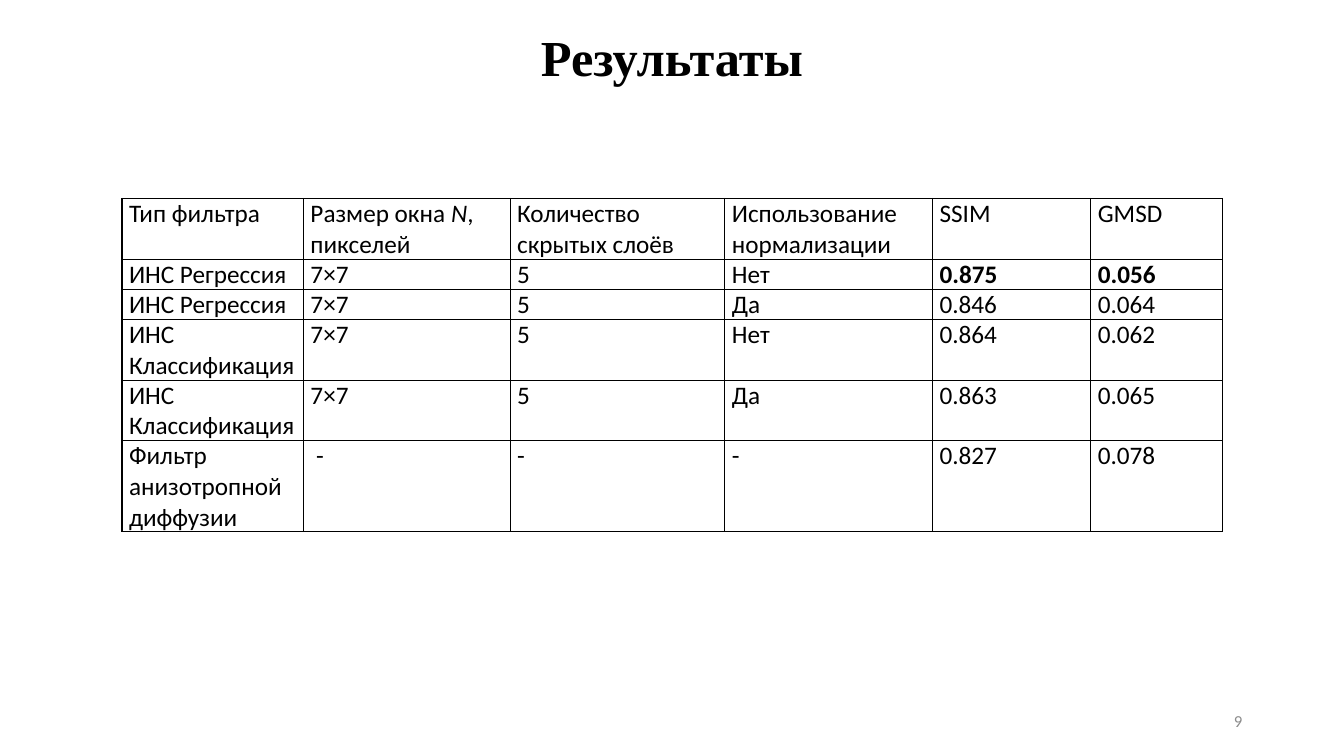
from lxml.etree import SubElement
from pptx import Presentation
from pptx.dml.color import RGBColor
from pptx.enum.text import MSO_ANCHOR, PP_ALIGN
from pptx.oxml.ns import qn
from pptx.util import Inches, Pt

BLACK = RGBColor(0x00, 0x00, 0x00)
GRAY = RGBColor(0x8C, 0x8C, 0x8C)
BODY_FONT = "Calibri"
TITLE_FONT = "Times New Roman"

COLUMN_WIDTHS = [1.8, 2.05, 2.13, 2.06, 1.57, 1.31]
ROW_LINES = [2, 1, 1, 2, 2, 3]
LINE_HEIGHT = 0.3
BEST_ROW = 1
METRIC_COLUMNS = (4, 5)
VARIABLE = "N"
RESULTS = [
    ["Тип фильтра", ("Размер окна ", VARIABLE, ", пикселей"), "Количество скрытых слоёв",
     "Использование нормализации", "SSIM", "GMSD"],
    ["ИНС Регрессия", "7×7", "5", "Нет", "0.875", "0.056"],
    ["ИНС Регрессия", "7×7", "5", "Да", "0.846", "0.064"],
    ["ИНС Классификация", "7×7", "5", "Нет", "0.864", "0.062"],
    ["ИНС Классификация", "7×7", "5", "Да", "0.863", "0.065"],
    ["Фильтр анизотропной диффузии", " -", "-", "-", "0.827", "0.078"],
]


def add_run(paragraph, text, size, font=BODY_FONT, color=BLACK, bold=False, italic=False):
    run = paragraph.add_run()
    run.text = text
    run.font.size = Pt(size)
    run.font.name = font
    run.font.color.rgb = color
    run.font.bold = bold
    run.font.italic = italic


def add_label(slide, bounds, text, align, size, **run_style):
    label = slide.shapes.add_textbox(*map(Inches, bounds))
    frame = label.text_frame
    frame.word_wrap = True
    frame.vertical_anchor = MSO_ANCHOR.MIDDLE
    paragraph = frame.paragraphs[0]
    paragraph.alignment = align
    add_run(paragraph, text, size, **run_style)
    return paragraph


def add_borders(cell):
    properties = cell._tc.get_or_add_tcPr()
    for side in ("lnL", "lnR", "lnT", "lnB"):
        line = SubElement(properties, qn(f"a:{side}"), w=str(Pt(1)))
        fill = SubElement(line, qn("a:solidFill"))
        SubElement(fill, qn("a:srgbClr"), val=str(BLACK))


def fill_cell(cell, content, bold):
    cell.margin_left = cell.margin_right = Inches(0.07)
    cell.margin_top = cell.margin_bottom = Inches(0)
    add_borders(cell)
    cell.fill.background()
    parts = (content,) if isinstance(content, str) else content
    for part in parts:
        add_run(cell.text_frame.paragraphs[0], part, 18, bold=bold, italic=part == VARIABLE)


def add_results_table(slide):
    table = slide.shapes.add_table(
        len(RESULTS), len(COLUMN_WIDTHS), Inches(1.21), Inches(1.97),
        Inches(sum(COLUMN_WIDTHS)), Inches(LINE_HEIGHT * sum(ROW_LINES))).table
    table.first_row = False
    table.horz_banding = False
    for column, width in zip(table.columns, COLUMN_WIDTHS):
        column.width = Inches(width)
    for row, lines in zip(table.rows, ROW_LINES):
        row.height = Inches(LINE_HEIGHT * lines)
    for r, values in enumerate(RESULTS):
        for c, content in enumerate(values):
            fill_cell(table.cell(r, c), content, r == BEST_ROW and c in METRIC_COLUMNS)


def main():
    deck = Presentation()
    deck.slide_width = Inches(13.33)
    deck.slide_height = Inches(7.5)
    slide = deck.slides.add_slide(deck.slide_layouts[6])
    add_label(slide, (9.42, 6.95, 3, 0.4), "9", PP_ALIGN.RIGHT, 12, color=GRAY)
    add_results_table(slide)
    heading = add_label(slide, (1.16, 0.11, 11.01, 0.97), "Результаты", PP_ALIGN.CENTER, 36,
                        font=TITLE_FONT, bold=True)
    heading.line_spacing = 0.9
    deck.save("out.pptx")


if __name__ == "__main__":
    main()
